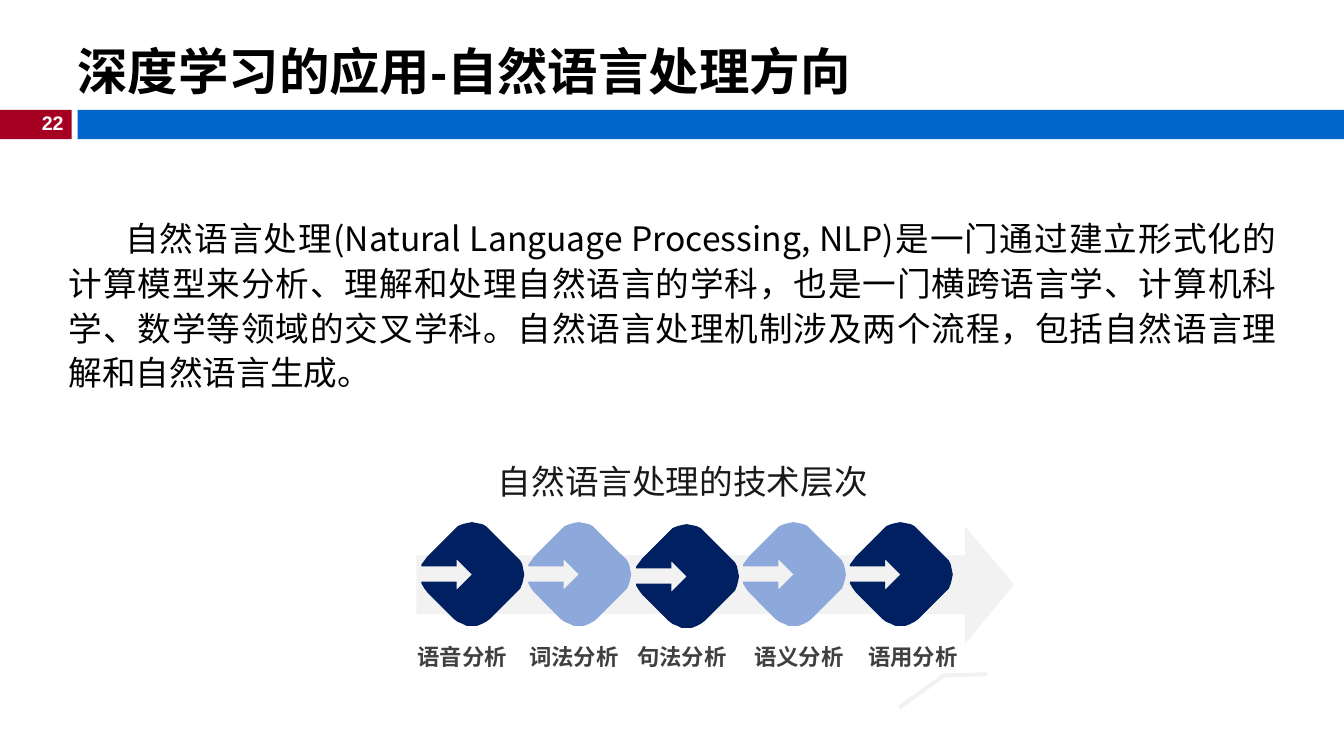
from lxml.etree import SubElement
from pptx import Presentation
from pptx.dml.color import RGBColor
from pptx.enum.shapes import MSO_SHAPE
from pptx.enum.text import MSO_ANCHOR, PP_ALIGN
from pptx.oxml.ns import qn
from pptx.util import Pt

PX = 9144
CJK = "Noto Sans CJK SC"
WHITE = RGBColor(0xFF, 0xFF, 0xFF)
BLACK = RGBColor(0x00, 0x00, 0x00)
RED = RGBColor(0xA5, 0x00, 0x21)
BLUE = RGBColor(0x00, 0x66, 0xCC)
NAVY = RGBColor(0x00, 0x20, 0x61)
LIGHT_BLUE = RGBColor(0x8D, 0xA9, 0xDB)
PALE_GREY = RGBColor(0xF2, 0xF2, 0xF2)
LABEL_GREY = RGBColor(0x40, 0x40, 0x40)
CAPTION_GREY = RGBColor(0x19, 0x19, 0x19)

prs = Presentation()
prs.slide_width = 1333 * PX
prs.slide_height = 750 * PX
slide = prs.slides.add_slide(prs.slide_layouts[6])


def add_text(text, left, top, width, height, size, color, font=CJK, bold=False,
             align=PP_ALIGN.LEFT, anchor=MSO_ANCHOR.TOP, margins=(10, 5, 10, 5),
             wrap=True, indent=0, line_spacing=None):
    box = slide.shapes.add_textbox(left * PX, top * PX, width * PX, height * PX)
    frame = box.text_frame
    frame.word_wrap = wrap
    frame.vertical_anchor = anchor
    frame.margin_left, frame.margin_top, frame.margin_right, frame.margin_bottom = (
        margin * PX for margin in margins)
    paragraph = frame.paragraphs[0]
    paragraph.alignment = align
    paragraph.line_spacing = line_spacing
    if indent:
        paragraph._p.get_or_add_pPr().set("indent", str(indent * PX))
    run = paragraph.add_run()
    run.text = text
    run.font.size = Pt(size)
    run.font.bold = bold
    run.font.color.rgb = color
    run.font.name = font
    SubElement(run._r.get_or_add_rPr(), qn("a:ea")).set("typeface", CJK)


def add_outline(points, color, left=0, top=0):
    placed = [(left + x, top + y) for x, y in points]
    builder = slide.shapes.build_freeform(*placed[0], scale=PX)
    builder.add_line_segments(placed[1:], close=True)
    outline = builder.convert_to_shape()
    outline.shadow.inherit = False
    outline.fill.solid()
    outline.fill.fore_color.rgb = color
    outline.line.fill.background()


for left, width, color in [(0, 71, RED), (77, 1256, BLUE)]:
    band = slide.shapes.add_shape(MSO_SHAPE.RECTANGLE, left * PX, 109 * PX, width * PX, 29 * PX)
    band.shadow.inherit = False
    band.fill.solid()
    band.fill.fore_color.rgb = color
    band.line.fill.background()

add_text("22", 29, 105, 44, 34, 14, WHITE, font="Arial", bold=True,
         align=PP_ALIGN.RIGHT, wrap=False)
add_text("自然语言处理(Natural Language Processing, NLP)是一门通过建立形式化的计算模型来分析、"
         "理解和处理自然语言的学科，也是一门横跨语言学、计算机科学、数学等领域的交叉学科。"
         "自然语言处理机制涉及两个流程，包括自然语言理解和自然语言生成。",
         67, 211, 1199, 179, 24, BLACK, align=PP_ALIGN.JUSTIFY,
         margins=(1, 1, 0, 0), indent=56, line_spacing=1.11)
add_text("深度学习的应用-自然语言处理方向", 67, 9, 943, 121, 36, BLACK,
         font="Arial", bold=True, anchor=MSO_ANCHOR.MIDDLE)

BIG_ARROW = [(957, 522), (957, 551), (413, 551), (413, 609), (957, 609), (957, 639), (1006, 580)]
BENT_LINE = [(979, 667), (936, 668), (891, 700), (893, 704), (937, 672), (979, 671)]
DIAMOND = [
    (0, 59), (35, 59), (35, 67), (50, 52), (35, 37), (35, 44), (0, 44),
    (0, 42), (3, 38), (6, 34), (32, 8), (36, 4), (41, 2), (45, 1), (50, 0),
    (55, 1), (60, 2), (64, 4), (68, 8), (94, 34), (98, 38), (100, 42), (101, 47), (102, 52),
    (101, 57), (100, 61), (98, 66), (94, 70), (68, 96), (64, 99), (60, 101), (55, 103),
    (50, 103), (45, 103), (41, 101), (36, 99), (32, 96), (6, 70), (3, 66), (0, 61),
]
STAGES = [
    ("语音分析", 413, 418, 518, NAVY),
    ("词法分析", 524, 524, 518, LIGHT_BLUE),
    ("句法分析", 631, 631, 520, NAVY),
    ("语义分析", 747, 737, 518, LIGHT_BLUE),
    ("语用分析", 860, 843, 518, NAVY),
]

add_outline(BIG_ARROW, PALE_GREY)
add_outline(BENT_LINE, PALE_GREY)
for label, label_left, diamond_left, diamond_top, color in STAGES:
    add_outline(DIAMOND, color, diamond_left, diamond_top)
    add_text(label, label_left, 637, 102, 28, 16, LABEL_GREY, bold=True, margins=(1, 1, 0, 0))
add_text("自然语言处理的技术层次", 484, 452, 415, 50, 24, CAPTION_GREY)

prs.save("out.pptx")
